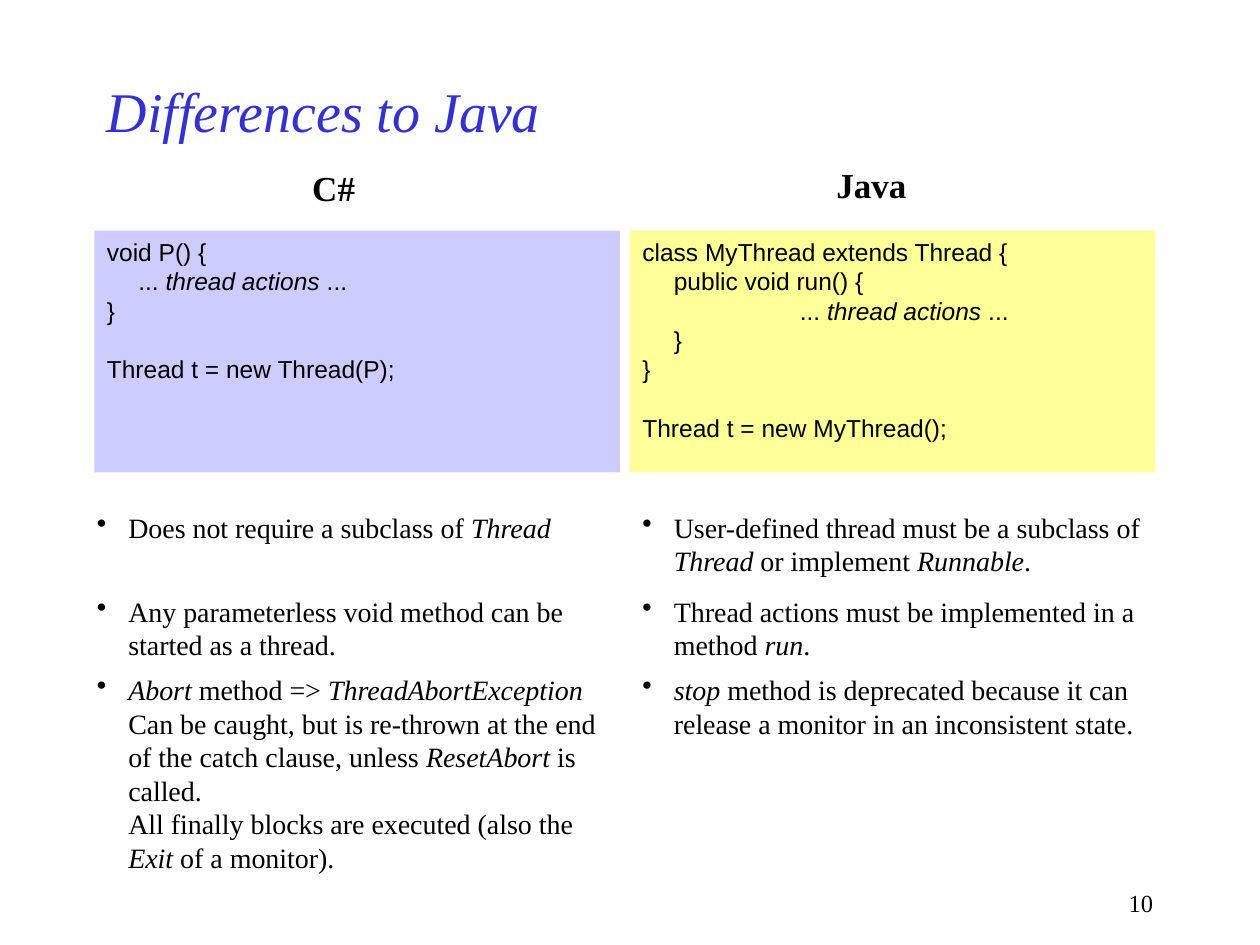
from lxml import etree
from pptx import Presentation
from pptx import util as u
from pptx.dml import color
from pptx.enum import shapes, text
from pptx.oxml import ns

COLOURS = {"title": "3333CC", "text": "000000", "csharp": "CCCCFF", "java": "FFFF99"}
SERIF, SANS = "Times New Roman", "Arial"

presentation = Presentation()
presentation.slide_width, presentation.slide_height = u.Inches(10), u.Inches(7.5)
slide = presentation.slides.add_slide(presentation.slide_layouts[6])


def write(shape, lines, size, font=SERIF, colour="text", bold=False, italic=False,
          align=text.PP_ALIGN.LEFT, anchor=text.MSO_ANCHOR.TOP, wrap=True,
          bullets=False, spacing=None):
    """Fill a shape with (text, left margin, space before) lines; *...* marks italics."""
    frame = shape.text_frame
    frame.word_wrap = wrap
    frame.vertical_anchor = anchor
    for index, (line, margin, before) in enumerate(lines):
        paragraph = frame.paragraphs[0] if index == 0 else frame.add_paragraph()
        paragraph.alignment = align
        paragraph.space_before = u.Pt(before)
        if spacing:
            paragraph.line_spacing = u.Pt(spacing)
        properties = paragraph._p.get_or_add_pPr()
        properties.set("marL", str(u.Inches(margin)))
        properties.set("indent", str(-u.Inches(margin) if bullets else 0))
        if bullets:
            etree.SubElement(properties, ns.qn("a:buChar")).set("char", "•")
        for part, piece in enumerate(line.split("*")):
            for row, words in enumerate(piece.split("\n")):
                if row:
                    paragraph.add_line_break()
                if not words:
                    continue
                run = paragraph.add_run()
                run.text = words
                run.font.name, run.font.size = font, u.Pt(size)
                run.font.bold = bold
                run.font.italic = italic or part % 2 == 1
                run.font.color.rgb = color.RGBColor.from_string(COLOURS[colour])


def add_box(left, top, width, height):
    return slide.shapes.add_textbox(*map(u.Inches, (left, top, width, height)))


# Title and slide number
write(add_box(0.75, 0.5, 7.5, 0.75), [("Differences to Java", 0, 0)], 32,
      colour="title", italic=True, anchor=text.MSO_ANCHOR.MIDDLE)
write(add_box(7.17, 7, 2.08, 0.33), [("10", 0, 0)], 14, align=text.PP_ALIGN.RIGHT)

# Column headings
for heading, left, top, width in [("C#", 2.38, 1.27, 0.54), ("Java", 6.54, 1.25, 0.76)]:
    write(add_box(left, top, width, 0.43), [(heading, 0, 0)], 20, bold=True, wrap=False)

# Code panels, with a one-line gap before the last statement
CODE_LINE = 16.8
panels = [
    ("csharp", 0.75, [
        ("void P() {", 0, 0),
        ("... *thread actions* ...", 0.25, 0),
        ("}", 0, 0),
        ("Thread t = new Thread(P);", 0, CODE_LINE),
    ]),
    ("java", 5, [
        ("class MyThread extends Thread {", 0, 0),
        ("public void run() {", 0.25, 0),
        ("... *thread actions* ...", 1.25, 0),
        ("}", 0.25, 0),
        ("}", 0, 0),
        ("Thread t = new MyThread();", 0, CODE_LINE),
    ]),
]
for fill, left, lines in panels:
    panel = slide.shapes.add_shape(shapes.MSO_SHAPE.RECTANGLE, u.Inches(left),
                                   u.Inches(1.83), u.Inches(4.17), u.Inches(1.92))
    panel.shadow.inherit = False
    panel.fill.solid()
    panel.fill.fore_color.rgb = color.RGBColor.from_string(COLOURS[fill])
    panel.line.fill.background()
    write(panel, lines, 14, font=SANS, spacing=CODE_LINE)

# Bullet lists, spaced so that matching points line up
comparisons = [
    (0.67, 4.33, 3.17, [
        ("Does not require a subclass of *Thread*", 0.25, 0),
        ("Any parameterless void method can be started as a thread.", 0.25, 28.8),
        ("*Abort* method => *ThreadAbortException* Can be caught, but is re-thrown at "
         "the end of the catch clause, unless *ResetAbort* is called.\n"
         "All finally blocks are executed (also the *Exit* of a monitor).", 0.25, 6.4),
    ]),
    (5, 4.17, 2.5, [
        ("User-defined thread must be a subclass of *Thread* or implement *Runnable*.",
         0.25, 0),
        ("Thread actions must be implemented in a method *run*.", 0.25, 9.6),
        ("*stop* method is deprecated because it can release a monitor in an "
         "inconsistent state.", 0.25, 6.4),
    ]),
]
for left, width, height, lines in comparisons:
    write(add_box(left, 4, width, height), lines, 16, bullets=True, spacing=19.2)

presentation.save("out.pptx")
